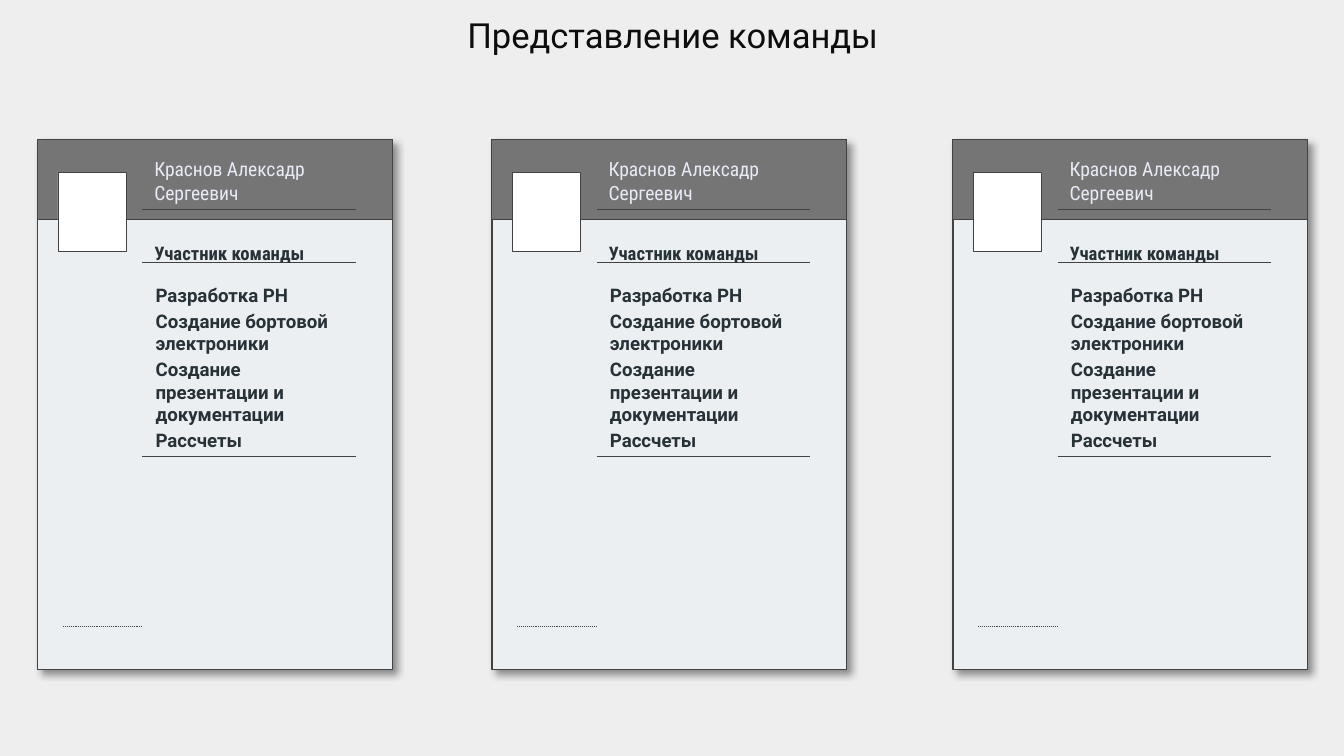
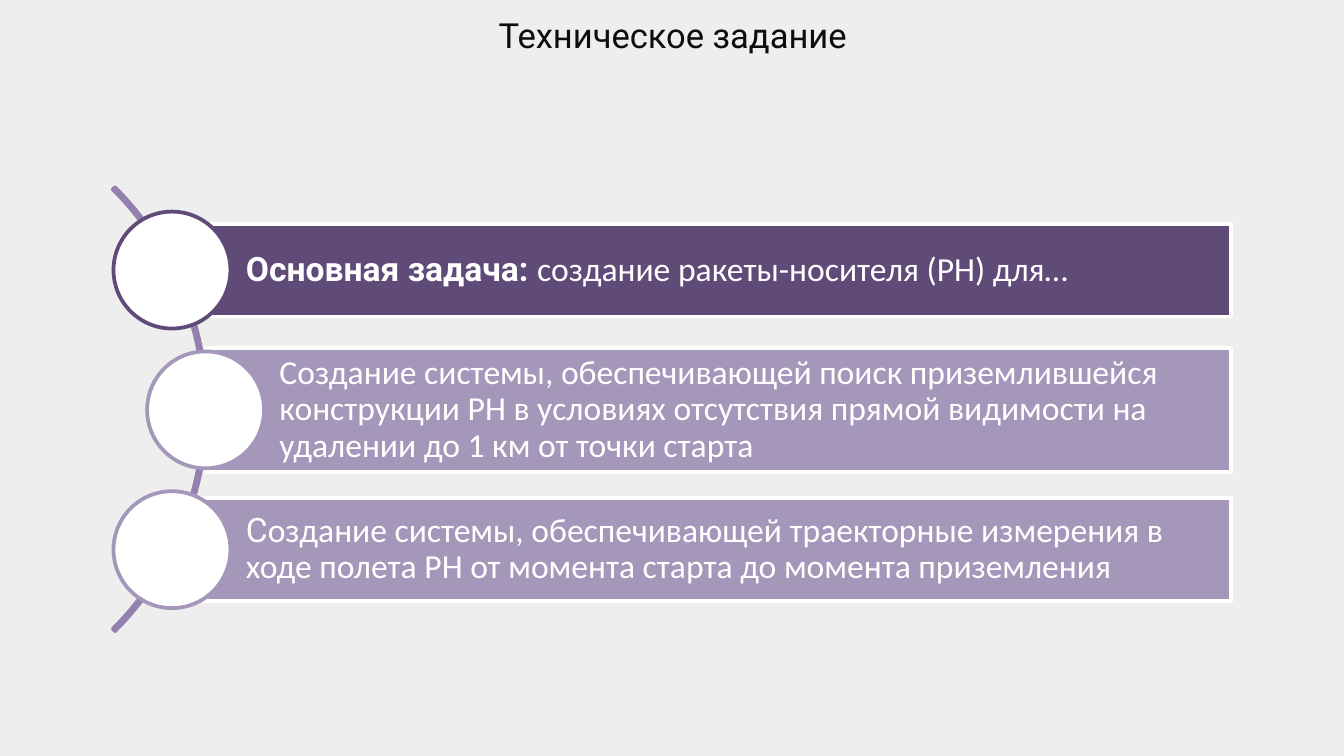
from lxml.etree import SubElement
from pptx import Presentation
from pptx.dml.color import RGBColor
from pptx.enum.dml import MSO_LINE
from pptx.enum.shapes import MSO_CONNECTOR, MSO_SHAPE
from pptx.enum.text import MSO_ANCHOR, PP_ALIGN
from pptx.oxml.ns import qn
from pptx.util import Inches, Pt

BACKGROUND = "EEEEEE"
TITLE_COLOR = "0D0D0D"
OUTLINE = "424242"
CARD_FILL = "ECEFF1"
HEADER_FILL = "757575"
NAME_COLOR = "E8EAF6"
BODY_COLOR = "263238"
WHITE = "FFFFFF"
DARK_PURPLE = "5F4A78"
LIGHT_PURPLE = "A597B9"
ARC_COLOR = "9480AE"
BODY_FONT = "Roboto"
NARROW_FONT = "Roboto Condensed"
TASK_FONT = "Calibri"

CARD_TOP, CARD_WIDTH = 1.04, 2.64
CARD_LEFTS = (0.28, 3.66, 7.09)
MEMBER = ("Краснов Алексадр Сергеевич", "Участник команды", (
    "Разработка РН",
    "Создание бортовой электроники",
    "Создание презентации и документации",
    "Рассчеты",
))

CIRCLE = 0.87
BAR_RIGHT = 9.16
FIRST_CENTER, CENTER_STEP = 2.01, 1.04
TASKS = (
    (1.28, 0.69, DARK_PURPLE, (
        ("Основная задача: ", BODY_FONT, True),
        ("создание ракеты-носителя (РН) для…", TASK_FONT, False))),
    (1.53, 0.92, LIGHT_PURPLE, (
        ("Создание системы, обеспечивающей поиск приземлившейся конструкции РН "
         "в условиях отсутствия прямой видимости на удалении до 1 км от точки старта",
         TASK_FONT, False),)),
    (1.28, 0.77, LIGHT_PURPLE, (
        ("C", BODY_FONT, False),
        ("оздание системы, обеспечивающей траекторные измерения в ходе полета РН "
         "от момента старта до момента приземления", TASK_FONT, False))),
)


def rgb(color):
    """Turn a hex string into a colour."""
    return RGBColor.from_string(color)


def add_figure(slide, kind, box, fill, outline, weight):
    """Add a preset shape with the given fill and outline."""
    figure = slide.shapes.add_shape(kind, *map(Inches, box))
    figure.shadow.inherit = False
    if fill:
        figure.fill.solid()
        figure.fill.fore_color.rgb = rgb(fill)
    else:
        figure.fill.background()
    figure.line.color.rgb = rgb(outline)
    figure.line.width = Pt(weight)
    return figure


def add_drop_shadow(figure):
    """Give a shape a soft shadow to the lower right."""
    effects = figure.element.spPr.find(qn("a:effectLst"))
    shadow = SubElement(effects, qn("a:outerShdw"), blurRad=str(Pt(4)),
                        dist=str(Pt(3)), dir="2700000", algn="tl", rotWithShape="0")
    color = SubElement(shadow, qn("a:srgbClr"), val="000000")
    SubElement(color, qn("a:alpha"), val="40000")


def add_rule(slide, left, right, y, weight, dash=None):
    """Add a horizontal line."""
    rule = slide.shapes.add_connector(
        MSO_CONNECTOR.STRAIGHT, Inches(left), Inches(y), Inches(right), Inches(y))
    rule.line.color.rgb = rgb(OUTLINE)
    rule.line.width = Pt(weight)
    if dash:
        rule.line.dash_style = dash
    SubElement(rule.element.spPr, qn("a:effectLst"))


def add_run(paragraph, text, size, font, color, bold=False):
    """Append one formatted run to a paragraph."""
    run = paragraph.add_run()
    run.text = text
    run.font.size = Pt(size)
    run.font.name = font
    run.font.bold = bold
    run.font.color.rgb = rgb(color)


def add_text(slide, box, lines, size, font, color, bold=False, before=2,
             align=PP_ALIGN.LEFT, anchor=MSO_ANCHOR.TOP):
    """Add a wrapping text box with one paragraph for each line."""
    frame = slide.shapes.add_textbox(*map(Inches, box)).text_frame
    frame.word_wrap = True
    frame.vertical_anchor = anchor
    for index, line in enumerate(lines):
        paragraph = frame.add_paragraph() if index else frame.paragraphs[0]
        paragraph.alignment = align
        paragraph.space_before = Pt(before)
        add_run(paragraph, line, size, font, color, bold)


def add_titled_slide(deck, title):
    """Add a blank slide with the shared background and title."""
    slide = deck.slides.add_slide(deck.slide_layouts[6])
    slide.background.fill.solid()
    slide.background.fill.fore_color.rgb = rgb(BACKGROUND)
    add_text(slide, (2.83, 0.07, 4.35, 0.38), [title], 18.5, BODY_FONT, TITLE_COLOR,
             before=0, align=PP_ALIGN.CENTER, anchor=MSO_ANCHOR.MIDDLE)
    return slide


def add_member_card(slide, left, name, role, duties):
    """Add the card of one team member."""
    card = add_figure(slide, MSO_SHAPE.RECTANGLE, (left, CARD_TOP, CARD_WIDTH, 3.94),
                      CARD_FILL, OUTLINE, 0.75)
    add_drop_shadow(card)
    add_figure(slide, MSO_SHAPE.RECTANGLE, (left, CARD_TOP, CARD_WIDTH, 0.59),
               HEADER_FILL, OUTLINE, 0.5)
    add_figure(slide, MSO_SHAPE.RECTANGLE, (left + 0.15, 1.28, 0.51, 0.59),
               WHITE, OUTLINE, 0.25)
    column = left + 0.78
    for y, weight in ((1.56, 0.75), (1.95, 0.5), (3.4, 0.5)):
        add_rule(slide, column, column + 1.59, y, weight)
    add_text(slide, (column - 0.01, 1.12, 1.58, 0.44), [name], 10.5, NARROW_FONT,
             NAME_COLOR)
    add_text(slide, (column - 0.01, 1.75, 1.58, 0.16), [role], 10, NARROW_FONT,
             BODY_COLOR, bold=True)
    add_text(slide, (column, 2.06, 1.57, 1.3), duties, 10, BODY_FONT, BODY_COLOR,
             bold=True)
    add_rule(slide, column - 0.59, column, 4.66, 0.5, MSO_LINE.ROUND_DOT)


def add_task(slide, center, left, height, color, phrases):
    """Add a task bar with a circle over its left end."""
    bar = add_figure(slide, MSO_SHAPE.RECTANGLE,
                     (left, center - height / 2, BAR_RIGHT - left, height),
                     color, WHITE, 2)
    frame = bar.text_frame
    frame.word_wrap = True
    frame.vertical_anchor = MSO_ANCHOR.MIDDLE
    frame.margin_left = Inches(0.55)
    frame.margin_right = frame.margin_top = frame.margin_bottom = Inches(0.05)
    paragraph = frame.paragraphs[0]
    paragraph.alignment = PP_ALIGN.LEFT
    paragraph.line_spacing = 0.9
    for text, font, bold in phrases:
        add_run(paragraph, text, 18, font, WHITE, bold)
    add_figure(slide, MSO_SHAPE.OVAL,
               (left - CIRCLE / 2, center - CIRCLE / 2, CIRCLE, CIRCLE),
               WHITE, color, 2)


def add_arc(slide):
    """Add the thin arc that links the task circles."""
    arc = add_figure(slide, MSO_SHAPE.BLOCK_ARC, (-3.13, 0.71, 4.67, 4.67),
                     None, ARC_COLOR, 2)
    for index, value in enumerate((189, 27, 0.005)):
        arc.adjustments[index] = value


def main():
    """Build the two slides and save them."""
    deck = Presentation()
    deck.slide_width = Inches(10)
    deck.slide_height = deck.slide_width * 9 // 16

    team = add_titled_slide(deck, "Представление команды")
    for left in CARD_LEFTS:
        add_member_card(team, left, *MEMBER)

    assignment = add_titled_slide(deck, "Техническое задание")
    add_arc(assignment)
    for index, task in enumerate(TASKS):
        add_task(assignment, FIRST_CENTER + index * CENTER_STEP, *task)

    deck.save("out.pptx")


if __name__ == "__main__":
    main()
